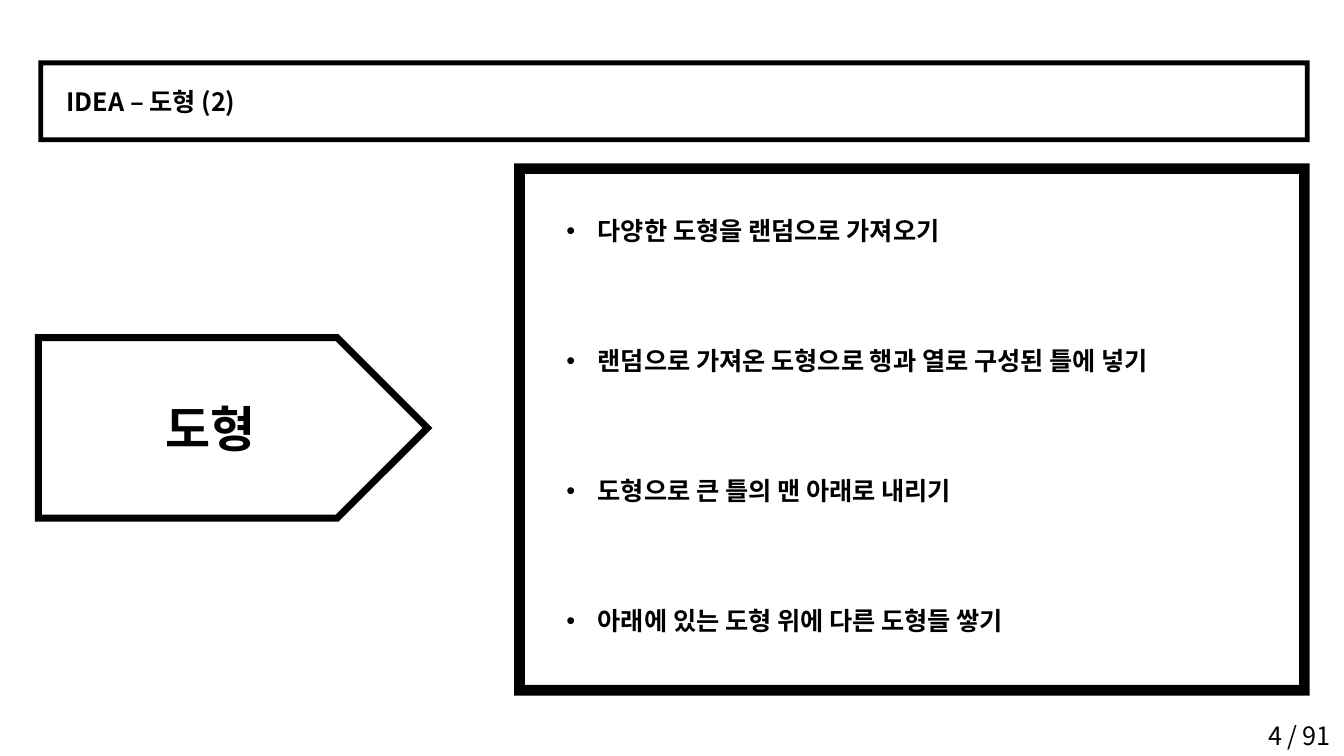
from dataclasses import dataclass

import pptx
import pptx.dml.color
import pptx.enum.shapes
import pptx.enum.text
import pptx.oxml.ns
import pptx.util
from lxml import etree

ALIGN = pptx.enum.text.PP_ALIGN
ANCHOR = pptx.enum.text.MSO_ANCHOR
SHAPE = pptx.enum.shapes.MSO_SHAPE
qn = pptx.oxml.ns.qn


@dataclass(frozen=True)
class Theme:
    font: str = "Noto Sans CJK KR"
    ink: pptx.dml.color.RGBColor = pptx.dml.color.RGBColor(0, 0, 0)
    body_size: int = 18
    topic_size: int = 35
    outline: int = 5


THEME = Theme()
IDEAS = [
    ("다양한 도형을 랜덤으로 가져오기", 432),
    ("랜덤으로 가져온 도형으로 행과 열로 구성된 틀에 넣기", 670),
    ("도형으로 큰 틀의 맨 아래로 내리기", 450),
    ("아래에 있는 도형 위에 다른 도형들 쌓기", 509),
]
IDEA_LEFT, IDEA_TOP, IDEA_STEP = 552, 209, 129
LINE_HEIGHT = 40
BULLET_INDENT = 31


def px(length):
    """Turn px, 100 to the inch, into EMU."""
    return pptx.util.Emu(length * 9144)


def box(left, top, width, height):
    return [px(length) for length in (left, top, width, height)]


def style_text(paragraph, size, bold):
    font = paragraph.font
    font.size = pptx.util.Pt(size)
    font.bold = bold
    font.color.rgb = THEME.ink
    font.name = THEME.font
    properties = paragraph._p.pPr.find(qn("a:defRPr"))
    etree.SubElement(properties, qn("a:ea"), typeface=THEME.font)


def add_bullet(paragraph):
    properties = paragraph._p.get_or_add_pPr()
    properties.set("marL", str(px(BULLET_INDENT)))
    properties.set("indent", str(-px(BULLET_INDENT)))
    etree.SubElement(properties, qn("a:buFont"), typeface="Arial")
    etree.SubElement(properties, qn("a:buChar"), char="•")


def add_label(slide, text, left, top, width, bold=True, bullet=False,
              align=ALIGN.LEFT, wrap=False):
    text_box = slide.shapes.add_textbox(*box(left, top, width, LINE_HEIGHT))
    frame = text_box.text_frame
    frame.word_wrap = wrap
    frame.vertical_anchor = ANCHOR.MIDDLE if wrap else ANCHOR.TOP
    paragraph = frame.paragraphs[0]
    paragraph.text = text
    paragraph.alignment = align
    if bullet:
        add_bullet(paragraph)
    style_text(paragraph, THEME.body_size, bold)


def add_frame(slide, left, top, width, height, thickness):
    """Add a solid border; thickness is a share of the shorter side."""
    shape = slide.shapes.add_shape(SHAPE.FRAME, *box(left, top, width, height))
    shape.shadow.inherit = False
    shape.adjustments[0] = thickness
    shape.fill.solid()
    shape.fill.fore_color.rgb = THEME.ink
    shape.line.fill.background()


def add_topic_arrow(slide, text, left, top, width, height):
    shape = slide.shapes.add_shape(SHAPE.PENTAGON, *box(left, top, width, height))
    shape.shadow.inherit = False
    shape.fill.background()
    shape.line.color.rgb = THEME.ink
    shape.line.width = pptx.util.Pt(THEME.outline)
    outline = shape._element.spPr.find(qn("a:ln"))
    etree.SubElement(outline, qn("a:miter"), lim="800000")
    shape.text_frame.vertical_anchor = ANCHOR.MIDDLE
    paragraph = shape.text_frame.paragraphs[0]
    paragraph.text = text
    paragraph.alignment = ALIGN.CENTER
    style_text(paragraph, THEME.topic_size, bold=True)


def main():
    presentation = pptx.Presentation()
    presentation.slide_width = pptx.util.Inches(13.33)
    presentation.slide_height = pptx.util.Inches(7.5)
    slide = presentation.slides.add_slide(presentation.slide_layouts[6])

    add_label(slide, "/ 91", 1267, 710, 67, bold=False)
    add_frame(slide, 38, 60, 1261, 81, thickness=0.059)
    add_label(slide, "IDEA – 도형 (2)", 56, 81, 202)
    add_topic_arrow(slide, "도형", 38, 335, 386, 179)
    add_frame(slide, 510, 162, 789, 528, thickness=0.02)
    for row, (idea, width) in enumerate(IDEAS):
        add_label(slide, idea, IDEA_LEFT, IDEA_TOP + row * IDEA_STEP, width,
                  bullet=True)
    add_label(slide, "4", 982, 710, 300, bold=False, align=ALIGN.RIGHT, wrap=True)

    presentation.save("out.pptx")


if __name__ == "__main__":
    main()
